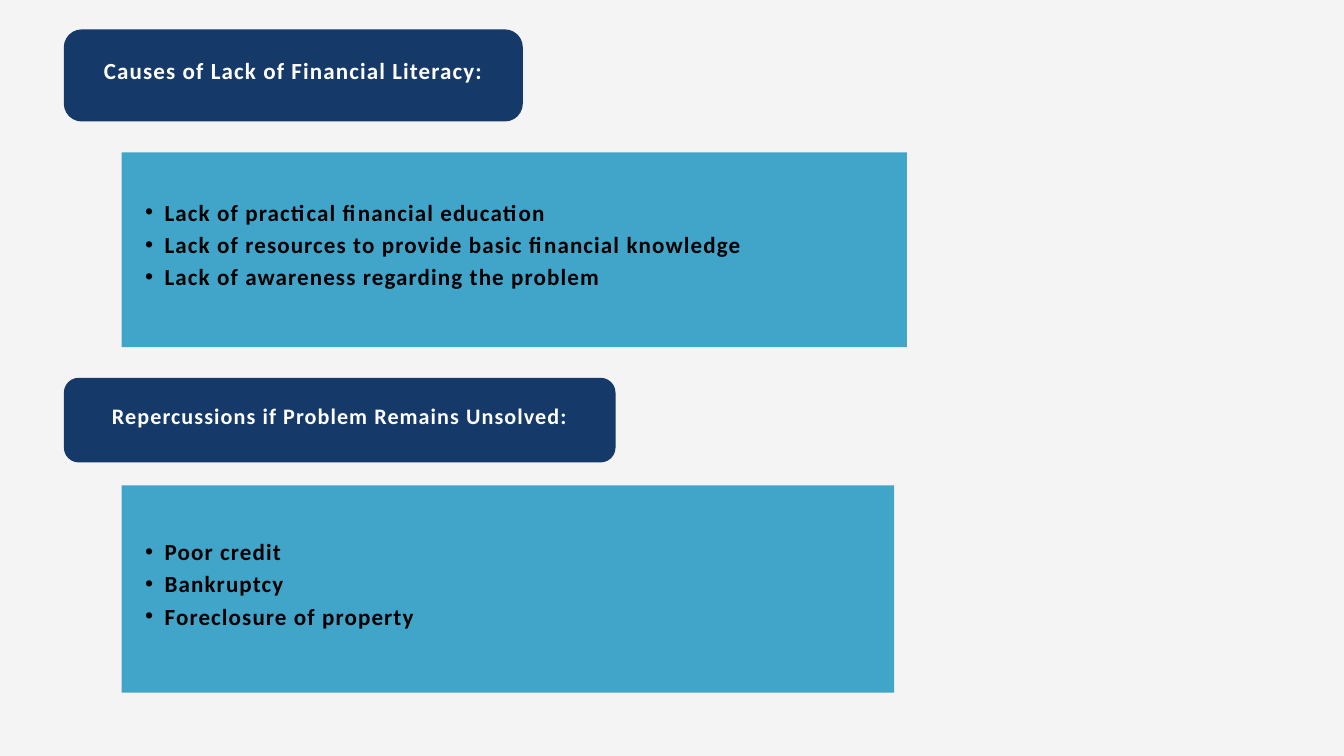
from dataclasses import dataclass

from lxml import etree
from pptx import Presentation
from pptx import util as u
from pptx.dml.color import RGBColor
from pptx.enum import shapes, text
from pptx.oxml import ns

Pt = u.Pt
COLORS = {"page": "F4F4F4", "navy": "153969", "sky": "41A4C9",
          "white": "FFFFFF", "black": "000000"}
FONT = "Calibri"
HEADING_LEFT, PANEL_LEFT = 68.4, 130.3
INSET, BULLET_INDENT = 4.3, 20.9


@dataclass
class Block:
    """A filled box; its text area starts `rise` points above it."""
    left: float
    top: float
    width: float
    height: float
    rise: float
    lines: list[str]
    size: float = 24.7
    leading: float = 34.6
    radius: float = 0


BLOCKS = [
    Block(HEADING_LEFT, 31.5, 491.8, 98.7, 17.1,
          ["Causes of Lack of Financial Literacy:"], radius=19.2),
    Block(HEADING_LEFT, 404.8, 591.1, 90.7, 13.8,
          ["Repercussions if Problem Remains Unsolved:"], 23.7, 33.2, 16),
    Block(PANEL_LEFT, 163.2, 841.5, 208.9, 17.1,
          ["Lack of practical financial education",
           "Lack of resources to provide basic financial knowledge",
           "Lack of awareness regarding the problem"]),
    Block(PANEL_LEFT, 520, 827.8, 222.3, 16.8,
          ["Poor credit", "Bankruptcy", "Foreclosure of property"]),
]


def rgb(name: str) -> RGBColor:
    return RGBColor.from_string(COLORS[name])


def add_bullet(p) -> None:
    p.level = 1
    pPr = p._p.get_or_add_pPr()
    pPr.set("marL", str(Pt(2 * BULLET_INDENT)))
    pPr.set("indent", str(-Pt(BULLET_INDENT)))
    etree.SubElement(pPr, ns.qn("a:buFont")).set("typeface", "Arial")
    etree.SubElement(pPr, ns.qn("a:buChar")).set("char", "•")


def write(tf, lines: list[str], *, size: float, leading: float, color: str,
          bulleted: bool, spacing: float = 1.2) -> None:
    for i, line in enumerate(lines):
        p = tf.paragraphs[0] if i == 0 else tf.add_paragraph()
        p.line_spacing = Pt(leading)
        p.alignment = text.PP_ALIGN.LEFT if bulleted else text.PP_ALIGN.CENTER
        if bulleted:
            add_bullet(p)
        r = p.add_run()
        r.text = line
        r.font.name, r.font.size, r.font.bold = FONT, Pt(size), True
        r.font.color.rgb = rgb(color)
        r._r.get_or_add_rPr().set("spc", str(round(spacing * 100)))


def draw_block(s, b: Block) -> None:
    """Group the box with its text; rounded boxes are headings, others lists."""
    heading = b.radius > 0
    kind = shapes.MSO_SHAPE.ROUNDED_RECTANGLE if heading else shapes.MSO_SHAPE.RECTANGLE
    group = s.shapes.add_group_shape()
    sp = group.shapes.add_shape(kind, Pt(b.left), Pt(b.top), Pt(b.width), Pt(b.height))
    if heading:
        sp.adjustments[0] = b.radius / b.height
    sp.shadow.inherit = False
    sp.fill.solid()
    sp.fill.fore_color.rgb = rgb("navy" if heading else "sky")
    sp.line.fill.background()

    box = group.shapes.add_textbox(Pt(b.left), Pt(b.top - b.rise),
                                   Pt(b.width), Pt(b.height + b.rise))
    tf = box.text_frame
    tf.word_wrap = True
    tf.vertical_anchor = text.MSO_ANCHOR.MIDDLE
    tf.margin_left = tf.margin_right = tf.margin_top = tf.margin_bottom = Pt(INSET)
    write(tf, b.lines, size=b.size, leading=b.leading,
          color="white" if heading else "black", bulleted=not heading)


def main() -> None:
    prs = Presentation()
    prs.slide_width, prs.slide_height = Pt(1440), Pt(810)
    s = prs.slides.add_slide(prs.slide_layouts[6])
    s.background.fill.solid()
    s.background.fill.fore_color.rgb = rgb("page")
    for block in BLOCKS:
        draw_block(s, block)
    prs.save("out.pptx")


if __name__ == "__main__":
    main()
